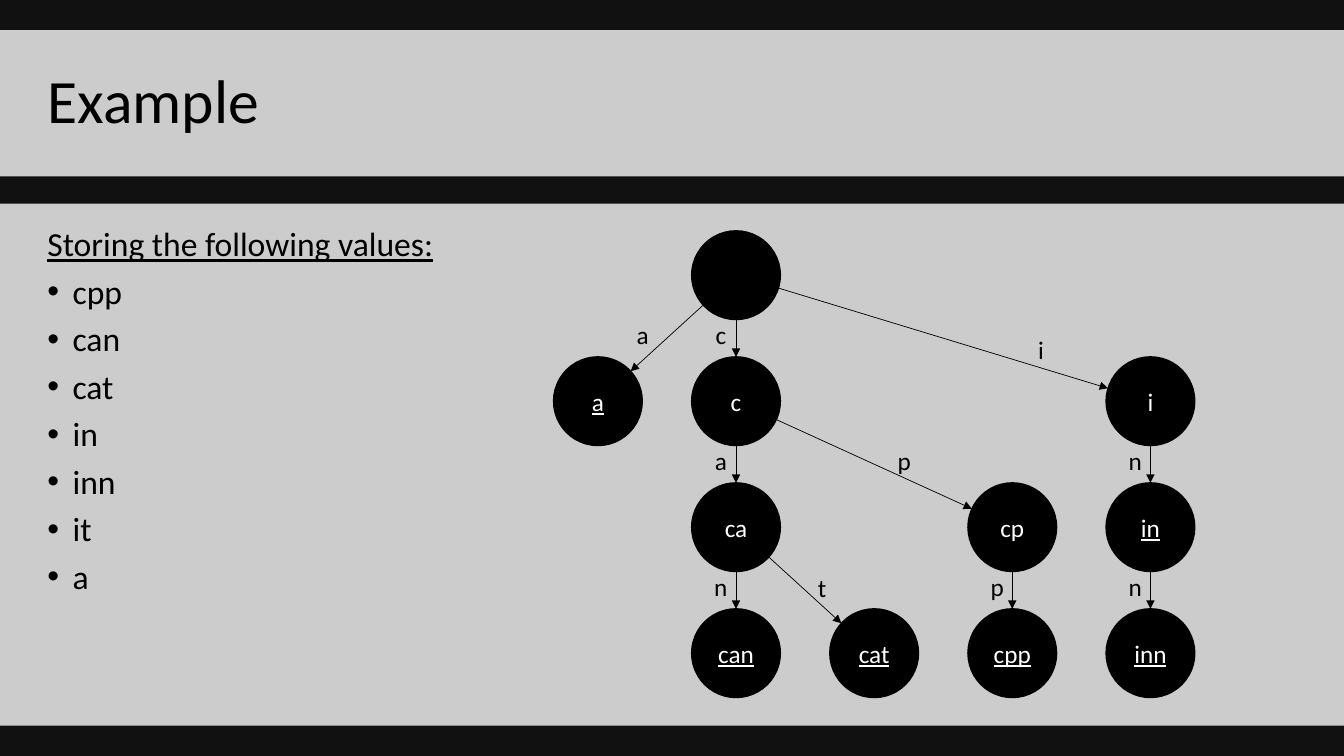
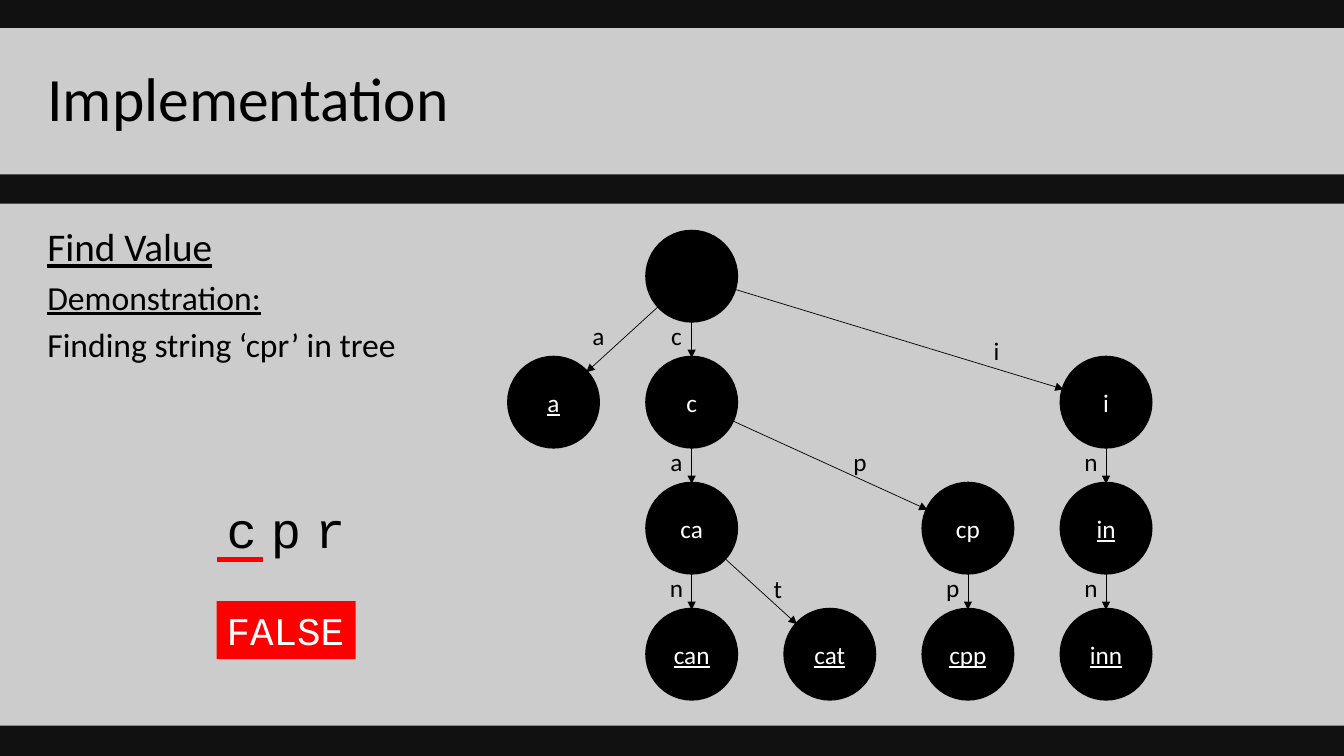
from dataclasses import dataclass
from math import hypot

from lxml import etree
from pptx import Presentation
from pptx.dml.color import RGBColor
from pptx.enum.shapes import MSO_CONNECTOR, MSO_SHAPE
from pptx.enum.text import MSO_ANCHOR, MSO_AUTO_SIZE, PP_ALIGN
from pptx.oxml.ns import qn
from pptx.util import Inches, Pt

RECTANGLE, OVAL = MSO_SHAPE.RECTANGLE, MSO_SHAPE.OVAL
STRAIGHT = MSO_CONNECTOR.STRAIGHT
TOP, MIDDLE = MSO_ANCHOR.TOP, MSO_ANCHOR.MIDDLE
LEFT, CENTER = PP_ALIGN.LEFT, PP_ALIGN.CENTER
NO_FIT = MSO_AUTO_SIZE.NONE


@dataclass(frozen=True)
class Theme:
    backdrop: str = "111111"
    panel: str = "FFFFFF"
    panel_alpha: int = 79
    ink: str = "000000"
    paper: str = "FFFFFF"
    alert: str = "FF0000"
    font: str = "Calibri"
    code_font: str = "Courier New"
    title: int = 44
    heading: int = 28
    body: int = 24
    node: int = 18
    query: int = 36
    edge_width: float = 0.5
    mark_width: float = 3


@dataclass(frozen=True)
class Box:
    x: float
    y: float
    w: float
    h: float

    def share(self, x, y, w, h):
        return Box(self.x + x * self.w, self.y + y * self.h, w * self.w, h * self.h)

    def emu(self):
        return [Inches(side) for side in (self.x, self.y, self.w, self.h)]


THEME = Theme()
PAGE = Box(0, 0, 13.33, 7.5)
BODY = Box(0, 2.02, PAGE.w, 5.18)
PANEL_MARGIN = 0.47

WORDS = ("cpp", "can", "cat", "in", "inn", "it", "a")
NODE_COLUMNS = {"": 1, "c": 1, "a": 0, "ca": 1, "can": 1, "cp": 3,
                "cat": 2, "cpp": 3, "inn": 4, "in": 4, "i": 4}
LAST_COLUMN = max(NODE_COLUMNS.values())
LAST_ROW = max(map(len, NODE_COLUMNS))
NODE_SIZE = 0.88
LABEL_SIZE = 0.4
BESIDE_EDGE = (-0.15, -0.04)
LABEL_OFFSETS = {"a": (-0.24, -0.04), "i": (0.97, 0.11),
                 "cp": (0.3, -0.04), "cat": (0.17, -0.03)}


def rgb(color):
    return RGBColor.from_string(color)


def write(frame, text, *, size, color=THEME.ink, font=THEME.font, underline=False,
          align=LEFT, line_spacing=None, space_before=None, bullet=False, tracking=None):
    paragraph = frame.add_paragraph() if frame.text else frame.paragraphs[0]
    paragraph.alignment = align
    paragraph.line_spacing = line_spacing
    if space_before is not None:
        paragraph.space_before = Pt(space_before)
    if bullet:
        properties = paragraph._p.get_or_add_pPr()
        properties.set("marL", str(Inches(0.25)))
        properties.set("indent", str(-Inches(0.25)))
        etree.SubElement(properties, qn("a:buFont")).set("typeface", "Arial")
        etree.SubElement(properties, qn("a:buChar")).set("char", "•")
    run = paragraph.add_run()
    run.text = text
    run.font.size = Pt(size)
    run.font.name = font
    run.font.color.rgb = rgb(color)
    run.font.underline = underline
    if tracking:
        run._r.get_or_add_rPr().set("spc", str(tracking * 100))


def set_frame(frame, anchor=MIDDLE, margins=(0, 0, 0, 0), wrap=False):
    frame.auto_size = NO_FIT
    frame.word_wrap = wrap
    frame.vertical_anchor = anchor
    frame.margin_left, frame.margin_top, frame.margin_right, frame.margin_bottom = (
        Inches(margin) for margin in margins)
    return frame


def paint(shape, color, alpha=None):
    shape.fill.solid()
    shape.fill.fore_color.rgb = rgb(color)
    if alpha is not None:
        tint = shape._element.spPr.find(qn("a:solidFill"))[0]
        etree.SubElement(tint, qn("a:alpha")).set("val", str(alpha * 1000))


def add_filled(shapes, kind, box, color, alpha=None, line_width=None):
    shape = shapes.add_shape(kind, *box.emu())
    shape.shadow.inherit = False
    paint(shape, color, alpha)
    if line_width is None:
        shape.line.fill.background()
    else:
        shape.line.color.rgb = rgb(color)
        shape.line.width = Pt(line_width)
    return shape


def add_line(shapes, start, end, color, width, arrow=False):
    line = shapes.add_connector(STRAIGHT, *(Inches(value) for value in (*start, *end)))
    line.line.color.rgb = rgb(color)
    line.line.width = Pt(width)
    properties = line._element.spPr
    if arrow:
        outline = properties.find(qn("a:ln"))
        etree.SubElement(outline, qn("a:tailEnd")).set("type", "triangle")
    etree.SubElement(properties, qn("a:effectLst"))


def add_titled_slide(deck, title, title_top):
    slide = deck.slides.add_slide(deck.slide_layouts[5])
    heading = slide.shapes.title
    heading.left, heading.top, heading.width, heading.height = Box(
        0, title_top, PAGE.w, 1.45).emu()
    paint(heading, THEME.panel, THEME.panel_alpha)
    frame = set_frame(heading.text_frame, margins=(PANEL_MARGIN, 0.05, 0.1, 0.05), wrap=True)
    write(frame, title, size=THEME.title, line_spacing=0.9)
    return slide


def add_body(shapes, box, lines):
    panel = add_filled(shapes, RECTANGLE, box, THEME.panel, THEME.panel_alpha)
    frame = set_frame(panel.text_frame, TOP, (PANEL_MARGIN, 0.24, 0.1, 0.05), True)
    for text, style in lines:
        write(frame, text, line_spacing=0.9, space_before=8, **{"size": THEME.body, **style})


def add_trie(shapes, box, outline):
    column_step = (box.w - NODE_SIZE) / LAST_COLUMN
    row_step = (box.h - NODE_SIZE) / LAST_ROW
    radius = NODE_SIZE / 2
    centers = {prefix: (box.x + radius + column * column_step,
                        box.y + radius + len(prefix) * row_step)
               for prefix, column in NODE_COLUMNS.items()}

    for prefix, (x, y) in centers.items():
        node = add_filled(shapes, OVAL, Box(x - radius, y - radius, NODE_SIZE, NODE_SIZE),
                          THEME.ink, line_width=outline)
        if prefix:
            write(set_frame(node.text_frame), prefix, size=THEME.node, color=THEME.paper,
                  underline=prefix in WORDS, align=CENTER)

    for prefix in filter(None, centers):
        (x1, y1), (x2, y2) = centers[prefix[:-1]], centers[prefix]
        reach = radius / hypot(x2 - x1, y2 - y1)
        dx, dy = (x2 - x1) * reach, (y2 - y1) * reach
        add_line(shapes, (x1 + dx, y1 + dy), (x2 - dx, y2 - dy),
                 THEME.ink, THEME.edge_width, arrow=True)
        shift_x, shift_y = LABEL_OFFSETS.get(prefix, BESIDE_EDGE)
        label = shapes.add_textbox(*Box((x1 + x2 - LABEL_SIZE) / 2 + shift_x,
                                        (y1 + y2 - LABEL_SIZE) / 2 + shift_y,
                                        LABEL_SIZE, LABEL_SIZE).emu())
        write(set_frame(label.text_frame), prefix[-1], size=THEME.node, align=CENTER)


def add_search(shapes, box, query, verdict):
    letters = shapes.add_textbox(*box.share(0, 0, 1, 0.43).emu())
    write(set_frame(letters.text_frame, TOP, (0.1, 0.05, 0.1, 0.05)), query,
          size=THEME.query, font=THEME.code_font, tracking=10)
    mark_y = box.y + 0.4 * box.h
    add_line(shapes, (box.x, mark_y), (box.x + 0.3 * box.w, mark_y),
             THEME.alert, THEME.mark_width)
    result = add_filled(shapes, RECTANGLE, box.share(0, 0.65, 0.9, 0.35), THEME.alert)
    write(set_frame(result.text_frame, TOP, (0.1, 0.05, 0.1, 0.05)), verdict,
          size=THEME.heading, color=THEME.paper, font=THEME.code_font)


def build_example(deck):
    slide = add_titled_slide(deck, "Example", 0.3)
    add_body(slide.shapes, BODY,
             [("Storing the following values:", {"underline": True}),
              *((word, {"bullet": True}) for word in WORDS)])
    add_trie(slide.shapes.add_group_shape().shapes, Box(5.49, 2.29, 6.36, 4.63), outline=1)


def build_implementation(deck):
    slide = add_titled_slide(deck, "Implementation", 0.28)
    add_body(slide.shapes, BODY,
             [("Find Value", {"underline": True, "size": THEME.heading}),
              ("Demonstration:", {"underline": True}),
              ("Finding string ‘cpr’ in tree", {})])
    add_trie(slide.shapes, Box(5.05, 2.3, 6.36, 4.63), outline=3)
    add_search(slide.shapes, Box(2.15, 4.89, 1.53, 1.65), "cpr", "FALSE")


def main():
    deck = Presentation()
    deck.slide_width, deck.slide_height = Inches(PAGE.w), Inches(PAGE.h)
    backdrop = deck.slide_master.background.fill
    backdrop.solid()
    backdrop.fore_color.rgb = rgb(THEME.backdrop)
    build_example(deck)
    build_implementation(deck)
    deck.save("out.pptx")


if __name__ == "__main__":
    main()
